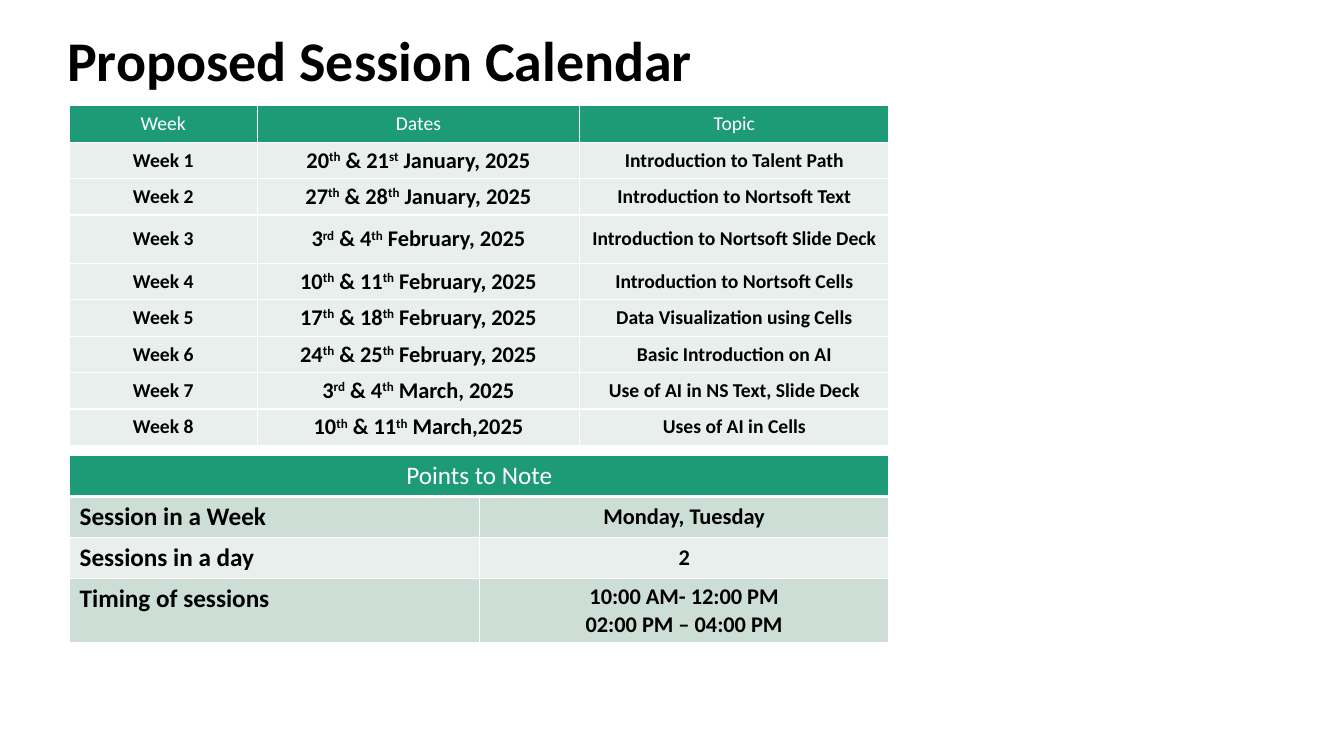
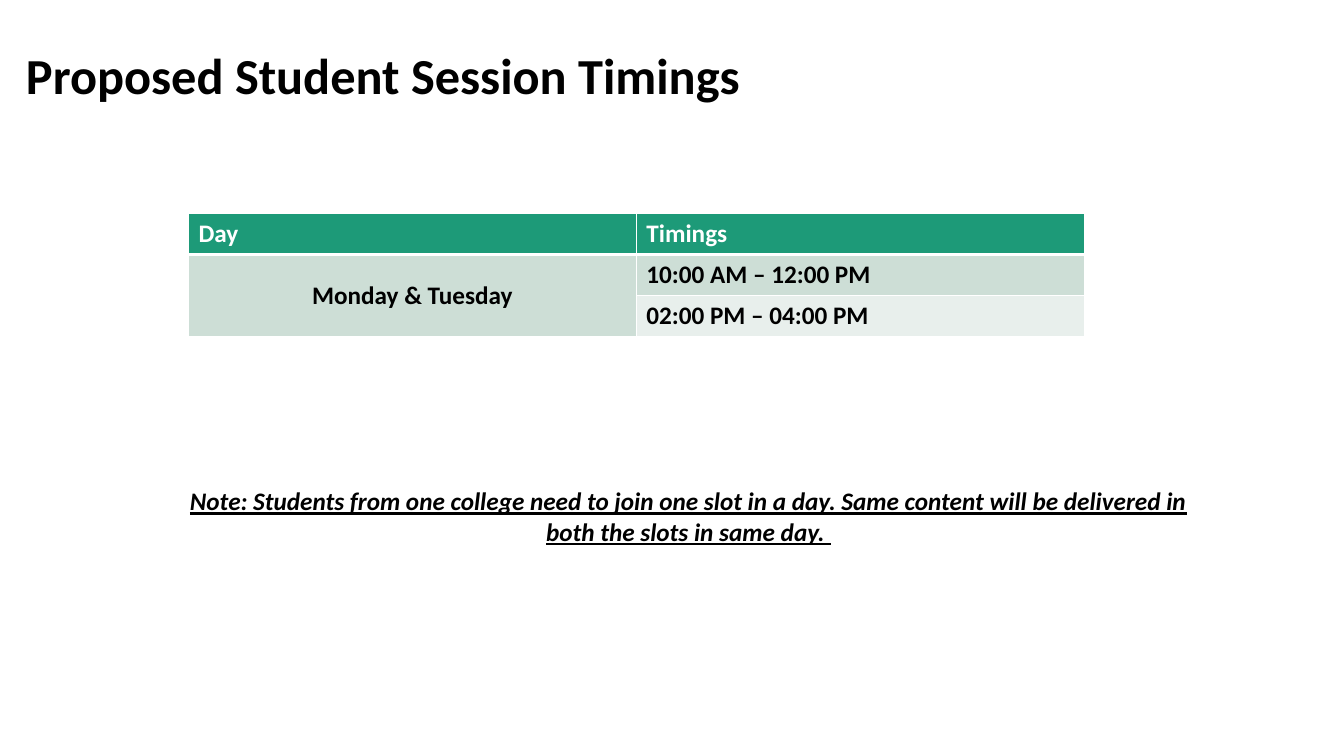
from dataclasses import dataclass

from lxml import etree
from pptx import Presentation
from pptx.dml.color import RGBColor
from pptx.enum import text
from pptx.oxml import ns
from pptx.util import Pt

MID = text.MSO_ANCHOR.MIDDLE
TOP = text.MSO_ANCHOR.TOP
LEFT = text.PP_ALIGN.LEFT
CENTER = text.PP_ALIGN.CENTER


@dataclass(frozen=True)
class Theme:
    font: str = "Calibri"
    ink: str = "000000"
    white: str = "FFFFFF"
    green: str = "1D9A78"
    band: str = "CDDED6"
    pale: str = "E8EFEC"
    small: int = 14
    mid: int = 16
    body: int = 18
    title: int = 36
    big: int = 40
    thin: int = 1
    thick: int = 3


class Deck:
    def __init__(self, theme):
        self.theme = theme
        self.file = Presentation()
        self.file.slide_width, self.file.slide_height = Pt(960), Pt(540)
        self.slide = None

    def page(self):
        self.slide = self.file.slides.add_slide(self.file.slide_layouts[6])

    def put(self, frame, words, size, align=LEFT, color=None, space=None, **look):
        """Fill a frame; text between ^ marks is superscript, \\n starts a paragraph."""
        look = {"name": self.theme.font, "size": Pt(size), "bold": True, **look}
        for n, line in enumerate(words.split("\n")):
            para = frame.add_paragraph() if n else frame.paragraphs[0]
            para.alignment = align
            if space:
                para.line_spacing = space
            for k, part in enumerate(line.split("^")):
                run = para.add_run()
                run.text = part
                for key, value in look.items():
                    setattr(run.font, key, value)
                run.font.color.rgb = RGBColor.from_string(color or self.theme.ink)
                if k % 2:
                    run._r.get_or_add_rPr().set("baseline", "30000")

    def label(self, words, at, size, anchor=TOP, **look):
        frame = self.slide.shapes.add_textbox(*map(Pt, at)).text_frame
        frame.word_wrap = True
        frame.vertical_anchor = anchor
        self.put(frame, words, size, **look)

    def title(self, words, at, size):
        self.label(words, at, size, anchor=MID, space=0.9)

    def edge(self, cell, top, low):
        """Draw the white borders of a cell."""
        thin = self.theme.thin
        props = cell._tc.get_or_add_tcPr()
        sides = {"lnL": thin, "lnR": thin, "lnT": top, "lnB": low}
        for n, (side, width) in enumerate(sides.items()):
            line = etree.Element(ns.qn("a:" + side), w=str(Pt(width)))
            fill = etree.SubElement(line, ns.qn("a:solidFill"))
            etree.SubElement(fill, ns.qn("a:srgbClr"), val=self.theme.white)
            props.insert(n, line)

    def grid(self, rows, spot, wide, high, fills, head, cols, heavy=True, inset=None):
        """Add a table: head styles row 0, cols style the rest, fills alternate."""
        th = self.theme
        size = sum(wide), sum(high)
        table = self.slide.shapes.add_table(
            len(rows), len(wide), *map(Pt, (*spot, *size))).table
        table.first_row = table.horz_banding = False
        for col, width in zip(table.columns, wide):
            col.width = Pt(width)
        rule = th.thick if heavy else th.thin
        for r, row in enumerate(rows):
            table.rows[r].height = Pt(high[r])
            for c, words in enumerate(row):
                cell = table.cell(r, c)
                look = dict(cols[c] if r else {"color": th.white, **head})
                cell.vertical_anchor = look.pop("anchor", TOP)
                if inset is not None:
                    for side in ("left", "right", "top", "bottom"):
                        setattr(cell, "margin_" + side, Pt(inset))
                self.edge(cell, rule if r == 1 else th.thin, th.thin if r else rule)
                cell.fill.solid()
                tone = fills[(r - 1) % len(fills)] if r else th.green
                cell.fill.fore_color.rgb = RGBColor.from_string(tone)
                if words:
                    self.put(cell.text_frame, words, **look)
        return table


WEEKS = [
    ("20^th^ & 21^st^ January, 2025", "Introduction to Talent Path"),
    ("27^th^ & 28^th^ January, 2025", "Introduction to Nortsoft Text"),
    ("3^rd^ & 4^th^ February, 2025", "Introduction to Nortsoft Slide Deck"),
    ("10^th^ & 11^th^ February, 2025", "Introduction to Nortsoft Cells"),
    ("17^th^ & 18^th^ February, 2025", "Data Visualization using Cells"),
    ("24^th^ & 25^th^ February, 2025", "Basic Introduction on AI"),
    ("3^rd^ & 4^th^ March, 2025", "Use of AI in NS Text, Slide Deck"),
    ("10^th^ & 11^th^ March,2025", "Uses of AI in Cells"),
]


def dates(deck):
    th = deck.theme
    deck.page()
    deck.title("Proposed Session Calendar", (41, 17, 828, 56), th.big)
    small = {"size": th.small, "align": CENTER, "anchor": MID}
    mid = {**small, "size": th.mid}
    rows = [("Week", "Dates", "Topic")]
    rows += [(f"Week {n}", *week) for n, week in enumerate(WEEKS, 1)]
    high = [26] * len(rows)
    high[3] = 34.6
    deck.grid(rows, (49.7, 75.6), (134, 230.4, 221), high, [th.pale],
              {**small, "bold": False}, [small, mid, small], heavy=False, inset=0)
    notes = [
        ("Points to Note", ""),
        ("Session in a Week", "Monday, Tuesday"),
        ("Sessions in a day", "2"),
        ("Timing of sessions", "10:00 AM- 12:00 PM\n02:00 PM – 04:00 PM"),
    ]
    table = deck.grid(notes, (49.7, 325.4), [292.7] * 2, [29.3] * 3 + [46],
                      [th.band, th.pale], {**mid, "size": th.body, "bold": False},
                      [{"size": th.body}, mid])
    table.cell(0, 0).merge(table.cell(0, 1))


def times(deck):
    th = deck.theme
    deck.page()
    deck.title("Proposed Student Session Timings", (11.5, 31.7, 828, 48), th.title)
    deck.label("Note: Students from one college need to join one slot in a day. "
               "Same content will be delivered in both the slots in same day. ",
               (109.4, 343.4, 764.6, 51), th.body, align=CENTER,
               italic=True, underline=True)
    rows = [
        ("Day", "Timings"),
        ("Monday & Tuesday", "10:00 AM – 12:00 PM"),
        ("", "02:00 PM – 04:00 PM"),
    ]
    plain = {"size": th.body}
    table = deck.grid(rows, (134.6, 152.6), [320] * 2, [29.3] * 3,
                      [th.band, th.pale], plain,
                      [{**plain, "align": CENTER, "anchor": MID}, plain])
    table.cell(1, 0).merge(table.cell(2, 0))


def main():
    deck = Deck(Theme())
    dates(deck)
    times(deck)
    deck.file.save("out.pptx")


if __name__ == "__main__":
    main()
